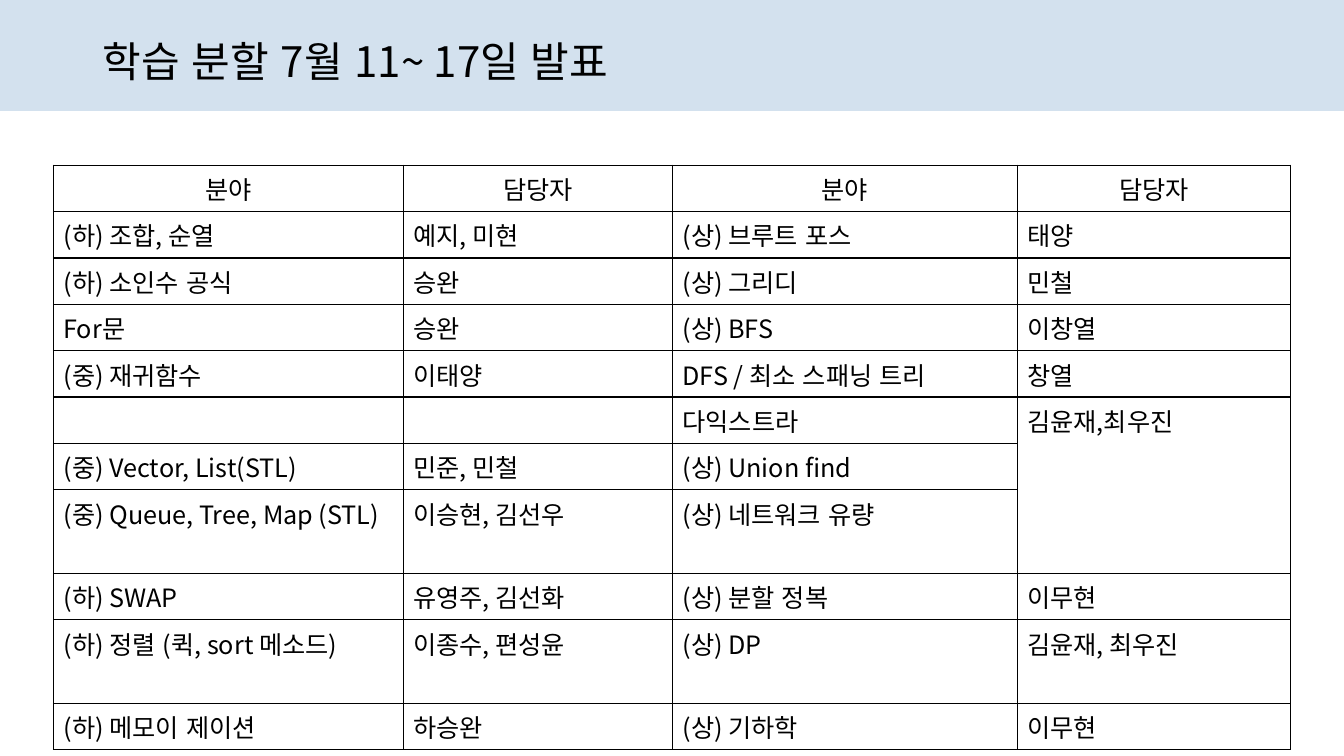
from lxml import etree
from pptx import Presentation
from pptx.dml.color import RGBColor
from pptx.enum.lang import MSO_LANGUAGE_ID
from pptx.enum.shapes import MSO_SHAPE
from pptx.enum.text import MSO_ANCHOR, PP_ALIGN
from pptx.oxml.ns import qn
from pptx.util import Inches, Pt

RECT = MSO_SHAPE.RECTANGLE
MIDDLE = MSO_ANCHOR.MIDDLE
LEFT, CENTER = PP_ALIGN.LEFT, PP_ALIGN.CENTER
KOREAN = MSO_LANGUAGE_ID.KOREAN

THEME = {
    "font": "Noto Sans CJK KR",
    "ink": "000000",
    "band": "D3E1EE",
    "title": 30,
    "body": 18,
    "rule": 1,
}

TITLE = "학습 분할 7월 11~ 17일 발표"
COLS = [3.47, 2.67, 3.42, 2.71]
ROW, TALL = 0.46, 0.83
WRAPPED = {7, 9}
ROWS = [
    ["분야", "담당자", "분야", "담당자"],
    ["(하) 조합, 순열", "예지, 미현", "(상) 브루트 포스", "태양"],
    ["(하) 소인수 공식", "승완", "(상) 그리디", "민철"],
    ["For문", "승완", "(상) BFS", "이창열"],
    ["(중) 재귀함수", "이태양", "DFS / 최소 스패닝 트리", "창열"],
    ["", "", "다익스트라", "김윤재,최우진"],
    ["(중) Vector, List(STL)", "민준, 민철", "(상) Union find", ""],
    ["(중) Queue, Tree, Map (STL)", "이승현, 김선우", "(상) 네트워크 유량", ""],
    ["(하) SWAP", "유영주, 김선화", "(상) 분할 정복", "이무현"],
    ["(하) 정렬 (퀵, sort 메소드)", "이종수, 편성윤", "(상) DP", "김윤재, 최우진"],
    ["(하) 메모이 제이션", "하승완", "(상) 기하학", "이무현"],
]
MERGE = ((5, 3), (7, 3))


def style(item, values):
    for name, value in values.items():
        setattr(item, name, value)


def write(frame, text, size, align=LEFT, spacing=1.0):
    para = frame.paragraphs[0]
    style(para, {"alignment": align, "line_spacing": spacing})
    if not text:
        para.font.size = Pt(size)
        return
    run = para.add_run()
    run.text = text
    style(run.font, {"size": Pt(size), "name": THEME["font"], "bold": False,
                     "language_id": KOREAN})
    run.font.color.rgb = RGBColor.from_string(THEME["ink"])
    # Korean glyphs take the East Asian font, without pair kerning
    props = run.font._element
    props.set("kern", "0")
    east = etree.SubElement(props, qn("a:ea"))
    east.set("typeface", THEME["font"])


def border(cell):
    props = cell._tc.get_or_add_tcPr()
    for spot, side in enumerate(("lnL", "lnR", "lnT", "lnB")):
        line = etree.Element(qn("a:" + side), w=str(Pt(THEME["rule"])))
        fill = etree.SubElement(line, qn("a:solidFill"))
        etree.SubElement(fill, qn("a:srgbClr"), val=THEME["ink"])
        props.insert(spot, line)


def header(slide, left, top, width, height):
    # Colour band
    band = slide.shapes.add_shape(
        RECT, Inches(left), Inches(top), Inches(width), Inches(height))
    band.shadow.inherit = False
    band.fill.solid()
    band.fill.fore_color.rgb = RGBColor.from_string(THEME["band"])
    band.line.fill.background()
    # Title
    box = slide.shapes.add_textbox(
        Inches(left + 0.92), Inches(top + 0.4), Inches(width - 1.83), Inches(0.47))
    style(box.text_frame, {"word_wrap": True, "vertical_anchor": MIDDLE})
    write(box.text_frame, TITLE, THEME["title"], spacing=0.9)


def roster(slide, left, top):
    # Topics and presenters
    highs = [TALL if r in WRAPPED else ROW for r in range(len(ROWS))]
    table = slide.shapes.add_table(
        len(ROWS), len(COLS), Inches(left), Inches(top),
        Inches(sum(COLS)), Inches(sum(highs))).table
    style(table, {"first_row": False, "horz_banding": False})
    for col, width in zip(table.columns, COLS):
        col.width = Inches(width)
    for r, texts in enumerate(ROWS):
        table.rows[r].height = Inches(highs[r])
        for c, text in enumerate(texts):
            cell = table.cell(r, c)
            cell.fill.background()
            border(cell)
            write(cell.text_frame, text, THEME["body"], LEFT if r else CENTER)
    # One team covers three topics
    first, last = MERGE
    table.cell(*first).merge(table.cell(*last))


deck = Presentation()
style(deck, {"slide_width": Inches(13.33), "slide_height": Inches(7.5)})
page = deck.slides.add_slide(deck.slide_layouts[6])
header(page, 0, 0, 13.33, 1.1)
roster(page, 0.53, 1.64)
deck.save("out.pptx")
